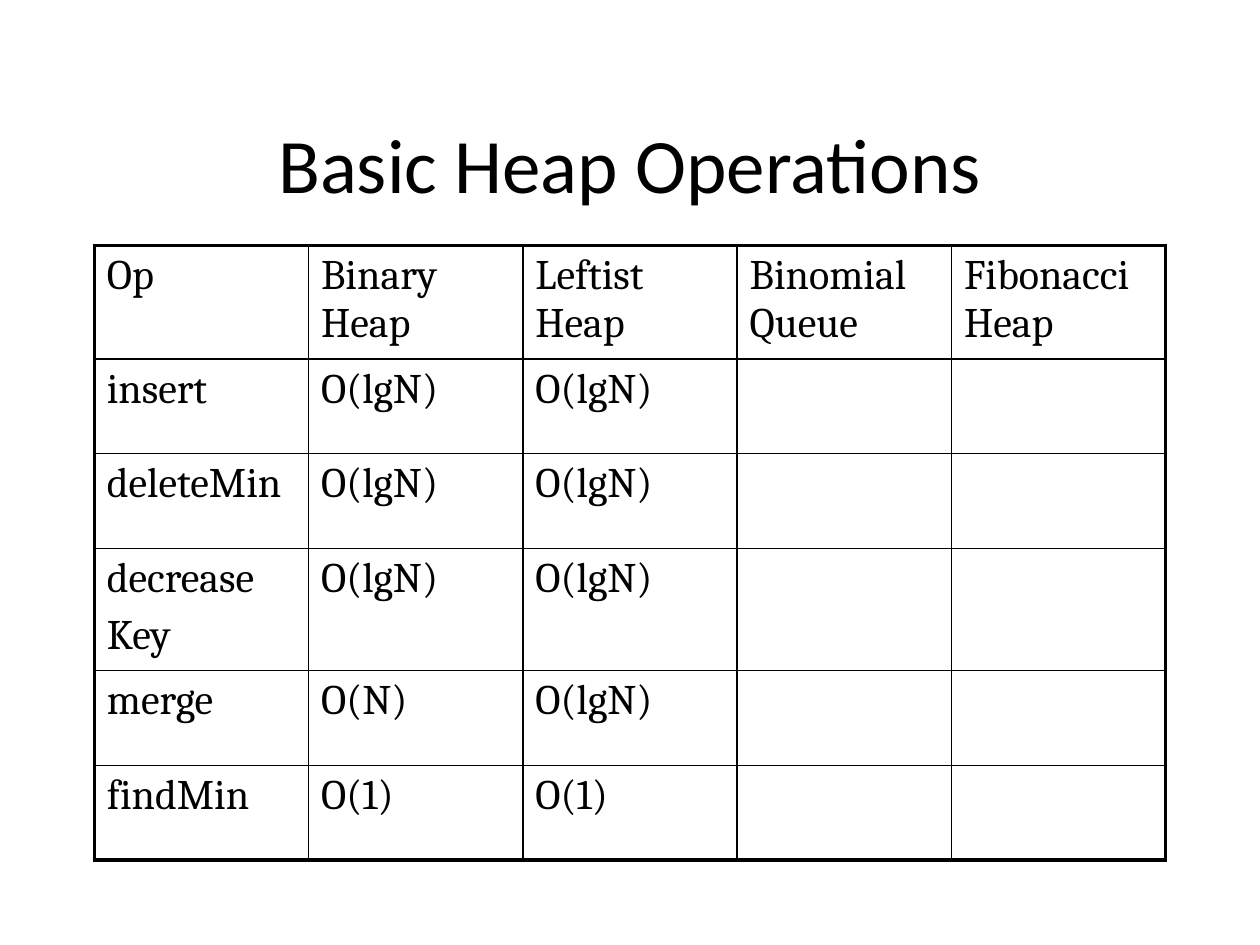
from dataclasses import dataclass

from lxml import etree
from pptx import Presentation
from pptx.dml.color import RGBColor
from pptx.enum import text
from pptx.oxml import ns
from pptx.util import Cm, Pt


@dataclass(frozen=True)
class Theme:
    ink: str = "000000"
    title_font: str = "Calibri"
    body_font: str = "Cambria"
    title_size: float = 44
    body_size: float = 24
    para_gap: float = 5
    outer_line: float = 2.25
    inner_line: float = 1


THEME = Theme()

# One row per operation; a line break starts a new paragraph
HEAP_ROWS = [
    ["Op", "Binary Heap", "Leftist Heap", "Binomial Queue", "Fibonacci Heap"],
    ["insert", "O(lgN)", "O(lgN)", "", ""],
    ["deleteMin", "O(lgN)", "O(lgN)", "", ""],
    ["decrease\nKey", "O(lgN)", "O(lgN)", "", ""],
    ["merge", "O(N)", "O(lgN)", "", ""],
    ["findMin", "O(1)", "O(1)", "", ""],
]
COL_WIDTH = Cm(4.32)
ROW_HEIGHT = Cm(1.91)
TALL_ROWS = {0: Cm(2.18), 3: Cm(2.38)}


def add_run(p, words, font, size):
    r = p.add_run()
    r.text = words
    r.font.name = font
    r.font.size = Pt(size)
    r.font.color.rgb = RGBColor.from_string(THEME.ink)


def add_title(s, words):
    sp = s.shapes.add_textbox(Cm(1.9), Cm(1.7), Cm(21.6), Cm(3.18))
    tf = sp.text_frame
    tf.word_wrap = True
    tf.vertical_anchor = text.MSO_ANCHOR.MIDDLE
    p = tf.paragraphs[0]
    p.alignment = text.PP_ALIGN.CENTER
    add_run(p, words, THEME.title_font, THEME.title_size)


def set_border(cell, side, width):
    tc_pr = cell._tc.get_or_add_tcPr()
    ln = etree.SubElement(tc_pr, ns.qn(f"a:ln{side}"), w=str(Pt(width)))
    fill = etree.SubElement(ln, ns.qn("a:solidFill"))
    etree.SubElement(fill, ns.qn("a:srgbClr"), val=THEME.ink)


def fill_cell(cell, words):
    tf = cell.text_frame
    for i, line in enumerate(words.split("\n")):
        p = tf.add_paragraph() if i else tf.paragraphs[0]
        if i:
            p.space_before = Pt(THEME.para_gap)
        if line:
            add_run(p, line, THEME.body_font, THEME.body_size)
        else:
            p.font.size = Pt(THEME.body_size)


def add_grid(s, rows):
    n_rows, n_cols = len(rows), len(rows[0])
    heights = [TALL_ROWS.get(i, ROW_HEIGHT) for i in range(n_rows)]
    table = s.shapes.add_table(n_rows, n_cols, Cm(1.9), Cm(4.95),
                               COL_WIDTH * n_cols, sum(heights)).table
    table.first_row = False
    table.horz_banding = False
    for col in table.columns:
        col.width = COL_WIDTH
    for i, row in enumerate(rows):
        table.rows[i].height = heights[i]
        for j, words in enumerate(row):
            cell = table.cell(i, j)
            fill_cell(cell, words)
            # Heavy lines only around the outside
            outer = {"L": j == 0, "R": j == n_cols - 1,
                     "T": i == 0, "B": i == n_rows - 1}
            for side, heavy in outer.items():
                set_border(cell, side,
                           THEME.outer_line if heavy else THEME.inner_line)
            cell.fill.background()


def main():
    prs = Presentation()
    prs.slide_width, prs.slide_height = Cm(25.4), Cm(19.05)
    s = prs.slides.add_slide(prs.slide_layouts[6])
    add_title(s, "Basic Heap Operations")
    add_grid(s, HEAP_ROWS)
    prs.save("out.pptx")


if __name__ == "__main__":
    main()
